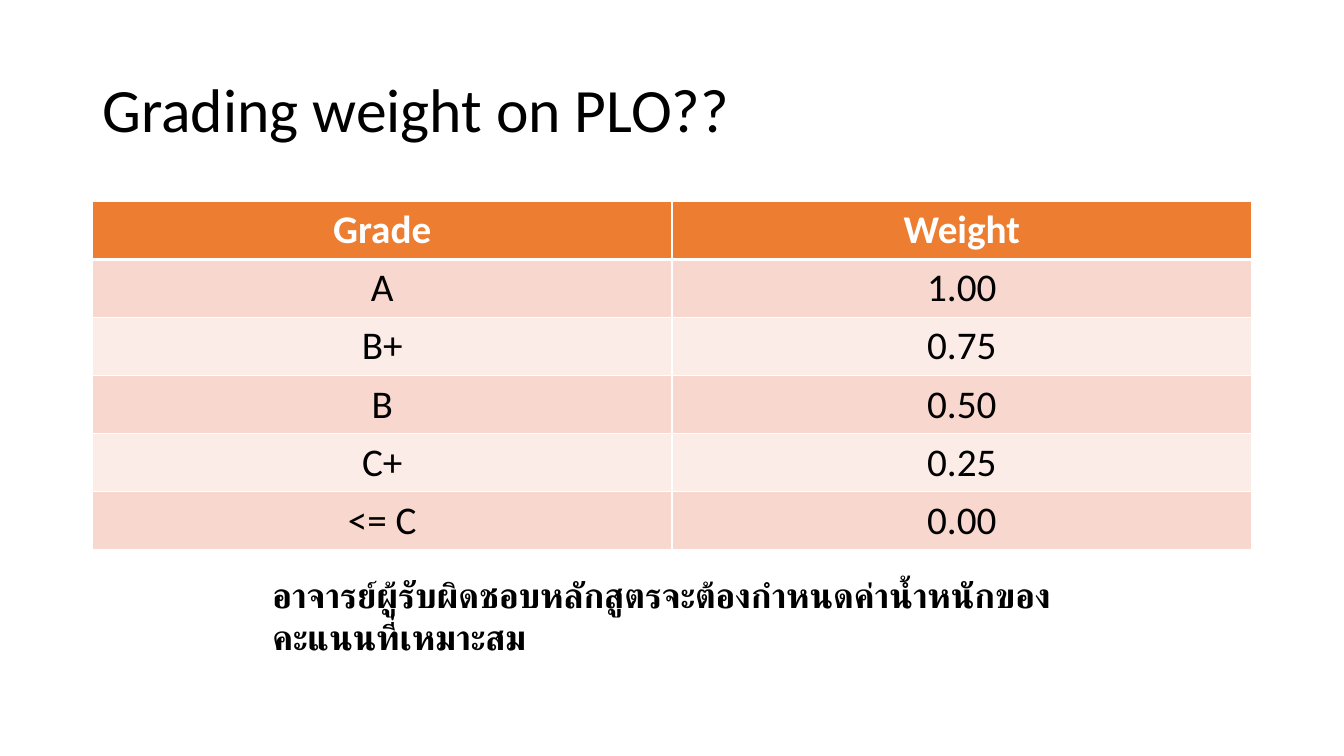
import pptx
import pptx.util
import pptx.dml.color
import pptx.enum.text
import pptx.oxml.ns
from lxml import etree

PX = 9525  # EMU per px, 96 px to the inch
BLACK = pptx.dml.color.RGBColor(0x00, 0x00, 0x00)
WHITE = pptx.dml.color.RGBColor(0xFF, 0xFF, 0xFF)
ORANGE = pptx.dml.color.RGBColor(0xED, 0x7D, 0x31)
PEACH = pptx.dml.color.RGBColor(0xF8, 0xD7, 0xCE)
PALE = pptx.dml.color.RGBColor(0xFC, 0xEC, 0xE8)


def style(p, size, color, bold=False):
    for r in p.runs:
        r.font.name = "Calibri"
        r.font.size = pptx.util.Pt(size)
        r.font.color.rgb = color
        r.font.bold = bold


def add_border(cell, side, width):
    qn = pptx.oxml.ns.qn
    ln = etree.SubElement(cell._tc.get_or_add_tcPr(), qn("a:" + side),
                          w=str(pptx.util.Pt(width)))
    fill = etree.SubElement(ln, qn("a:solidFill"))
    etree.SubElement(fill, qn("a:srgbClr"), val=str(WHITE))


prs = pptx.Presentation()
prs.slide_width, prs.slide_height = 1280 * PX, 720 * PX
s = prs.slides.add_slide(prs.slide_layouts[5])

# Title
title = s.shapes.title
title.left, title.top, title.width, title.height = 88 * PX, 38 * PX, 1104 * PX, 139 * PX
tf = title.text_frame
tf.text = "Grading weight on PLO??"
tf.vertical_anchor = pptx.enum.text.MSO_ANCHOR.MIDDLE
p = tf.paragraphs[0]
p.alignment = pptx.enum.text.PP_ALIGN.LEFT
p.line_spacing = 0.9
style(p, 44, BLACK)

# Grade table
rows = [("Grade", "Weight"), ("A", "1.00"), ("B+", "0.75"),
        ("B", "0.50"), ("C+", "0.25"), ("<= C", "0.00")]
table = s.shapes.add_table(len(rows), 2, 88 * PX, 192 * PX,
                           1104 * PX, 55 * len(rows) * PX).table
for i, row in enumerate(rows):
    for j, text in enumerate(row):
        cell = table.cell(i, j)
        add_border(cell, "lnL", 1)
        add_border(cell, "lnR", 1)
        add_border(cell, "lnT", 3 if i == 1 else 1)
        add_border(cell, "lnB", 3 if i == 0 else 1)
        cell.fill.solid()
        cell.fill.fore_color.rgb = ORANGE if i == 0 else PEACH if i % 2 else PALE
        p = cell.text_frame.paragraphs[0]
        p.text = text
        p.alignment = pptx.enum.text.PP_ALIGN.CENTER
        style(p, 28, WHITE if i == 0 else BLACK, bold=i == 0)

# Note below the table
note = s.shapes.add_textbox(250 * PX, 541 * PX, 781 * PX, 50 * PX)
tf = note.text_frame
tf.word_wrap = True
tf.text = "อาจารย์ผู้รับผิดชอบหลักสูตรจะต้องกำหนดค่าน้ำหนักของคะแนนที่เหมาะสม"
style(tf.paragraphs[0], 25, BLACK, bold=True)

prs.save("out.pptx")
